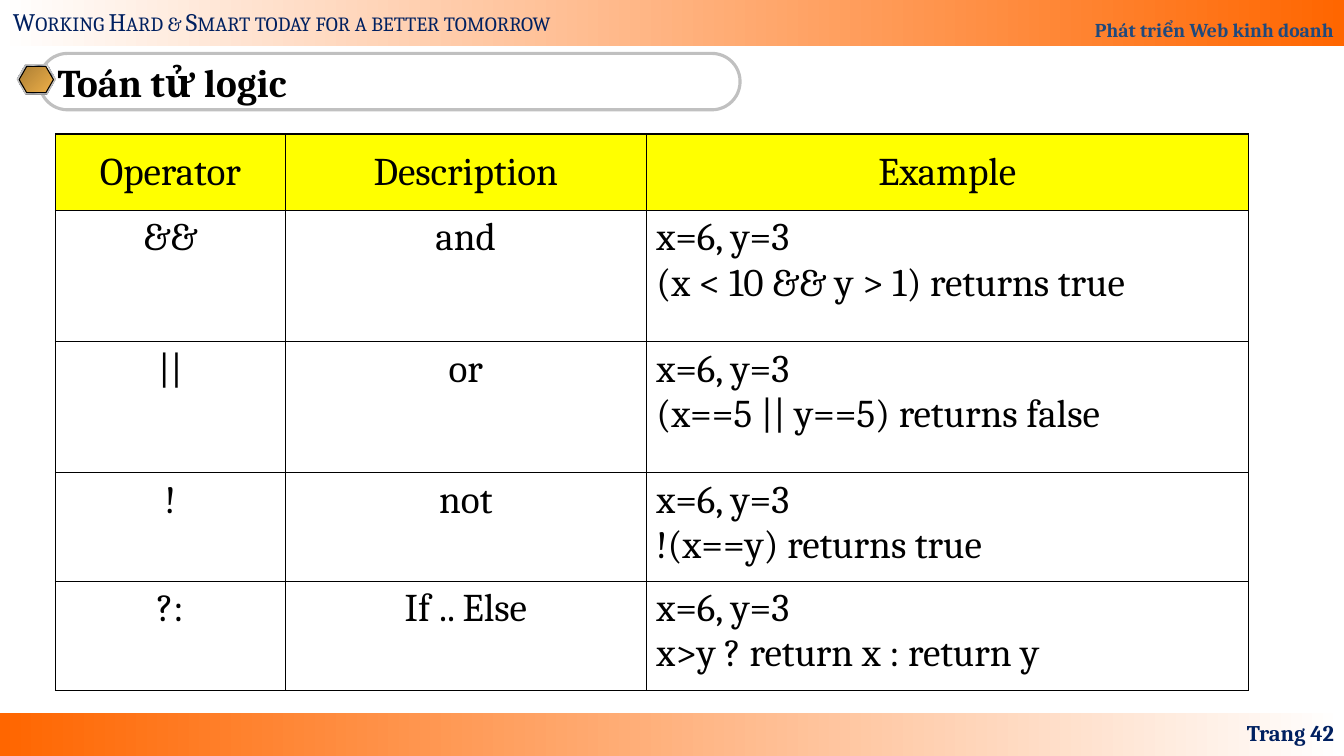
"""Build the slide on logic operators."""
import pptx
import pptx.util
import pptx.dml.color
import pptx.enum.shapes
import pptx.enum.text
import pptx.oxml
import pptx.oxml.ns
from lxml import etree

PX = 9144
FONT = "Cambria"
KIND = pptx.enum.shapes.MSO_SHAPE
SIDE = pptx.enum.text.PP_ALIGN
MID = pptx.enum.text.MSO_ANCHOR.MIDDLE
TOP = pptx.enum.text.MSO_ANCHOR.TOP
END = pptx.enum.text.MSO_ANCHOR.BOTTOM
tag = pptx.oxml.ns.qn
color = pptx.dml.color.RGBColor.from_string


def shape(kind, box, stops=None, angle=0, line=None, width=0.75):
    item = slide.shapes.add_shape(kind, *[n * PX for n in box])
    item.shadow.inherit = False
    if stops is None:
        item.fill.background()
    elif len(stops) == 1:
        item.fill.solid()
        item.fill.fore_color.rgb = color(stops[0][1])
    else:
        item.fill.gradient()
        grad = item._element.spPr.find(tag("a:gradFill"))
        grad.find(tag("a:lin")).set("ang", str(angle * 60000))
        marks = grad.find(tag("a:gsLst"))
        for old in list(marks):
            marks.remove(old)
        for pos, tone in stops:
            mark = etree.SubElement(marks, tag("a:gs"), pos=str(pos * 1000))
            etree.SubElement(mark, tag("a:srgbClr"), val=tone)
    if line:
        item.line.color.rgb = color(line)
        item.line.width = pptx.util.Pt(width)
    else:
        item.line.fill.background()
    return item


def write(frame, lines, size, tone, align=SIDE.LEFT, anchor=TOP, bold=False):
    frame.word_wrap = True
    frame.vertical_anchor = anchor
    for i, text in enumerate(lines):
        para = frame.add_paragraph() if i else frame.paragraphs[0]
        para.alignment = align
        run = para.add_run()
        run.text = text
        run.font.name = FONT
        run.font.size = pptx.util.Pt(size)
        run.font.bold = bold
        run.font.color.rgb = color(tone)
    return para


deck = pptx.Presentation()
deck.slide_width = 1333 * PX
deck.slide_height = 750 * PX
slide = deck.slides.add_slide(deck.slide_layouts[6])

shape(KIND.RECTANGLE, (0, 707, 1333, 43), [(0, "FF6600"), (100, "FFFFFF")])
head = shape(KIND.RECTANGLE, (0, 0, 1333, 46), [(0, "FFFFFF"), (100, "FF6600")])
course = write(head.text_frame, ["Phát triển Web kinh doanh"], 14, "1F497D",
               SIDE.RIGHT, END, True)
course.line_spacing = 1.8

motto = slide.shapes.add_textbox(3 * PX, 1 * PX, 590 * PX, 40 * PX)
para = write(motto.text_frame,
             ["Working Hard & Smart today for a better tomorrow"], 18, "002060")
para.runs[0]._r.get_or_add_rPr().set("cap", "small")

title = shape(KIND.ROUNDED_RECTANGLE, (39, 53, 695, 56), line="C0C0C0", width=2.25)
title.adjustments[0] = 0.5
write(title.text_frame, ["Toán tử logic"], 28, "000000", anchor=MID, bold=True)

steel = [(0, "E6E6E6"), (7, "7D8496"), (26, "E6E6E6"), (34, "7D8496"),
         (46, "E6E6E6"), (50, "FFFFFF"), (54, "E6E6E6"), (66, "7D8496"),
         (74, "E6E6E6"), (93, "7D8496"), (100, "E6E6E6")]
gold = [(0, "AB7E34"), (100, "EFB049")]
for box, stops, line in [
    ((17, 65, 38, 29), [(0, "808080")], None),
    ((17, 64, 38, 29), steel, "C0C0C0"),
    ((19, 66, 34, 26), gold, "000000"),
]:
    gem = shape(KIND.HEXAGON, box, stops, 45, line)
    gem.adjustments[0] = 0.289
    gem.adjustments[1] = 1.155

page = slide.shapes.add_textbox(1022 * PX, 707 * PX, 311 * PX, 40 * PX)
write(page.text_frame, ["Trang 42"], 16, "002060", SIDE.RIGHT, MID, True)

rows = [
    ("Operator", "Description", "Example"),
    ("&&", "and", "x=6, y=3\n(x < 10 && y > 1) returns true"),
    ("||", "or", "x=6, y=3\n(x==5 || y==5) returns false"),
    ("!", "not", "x=6, y=3\n!(x==y) returns true"),
    ("?:", "If .. Else", "x=6, y=3\nx>y ? return x : return y"),
]
wide = [228, 358, 597]
tall = [76, 130, 130, 108, 108]
grid = slide.shapes.add_table(len(rows), len(wide), 55 * PX, 133 * PX,
                              sum(wide) * PX, sum(tall) * PX).table
grid.first_row = False
grid.horz_banding = False
for col, size in zip(grid.columns, wide):
    col.width = size * PX
for row, size in zip(grid.rows, tall):
    row.height = size * PX

for r, row in enumerate(rows):
    for c, text in enumerate(row):
        cell = grid.cell(r, c)
        props = cell._tc.get_or_add_tcPr()
        for edge in ("a:lnL", "a:lnR", "a:lnT", "a:lnB"):
            rule = etree.SubElement(props, tag(edge), w="12700")
            fill = etree.SubElement(rule, tag("a:solidFill"))
            etree.SubElement(fill, tag("a:srgbClr"), val="000000")
        if r == 0:
            cell.fill.solid()
            cell.fill.fore_color.rgb = color("FFFF00")
        else:
            cell.fill.background()
        align = SIDE.LEFT if r and c == 2 else SIDE.CENTER
        write(cell.text_frame, text.split("\n"), 28, "000000", align)
        cell.vertical_anchor = TOP if r else MID

deck.save("out.pptx")
